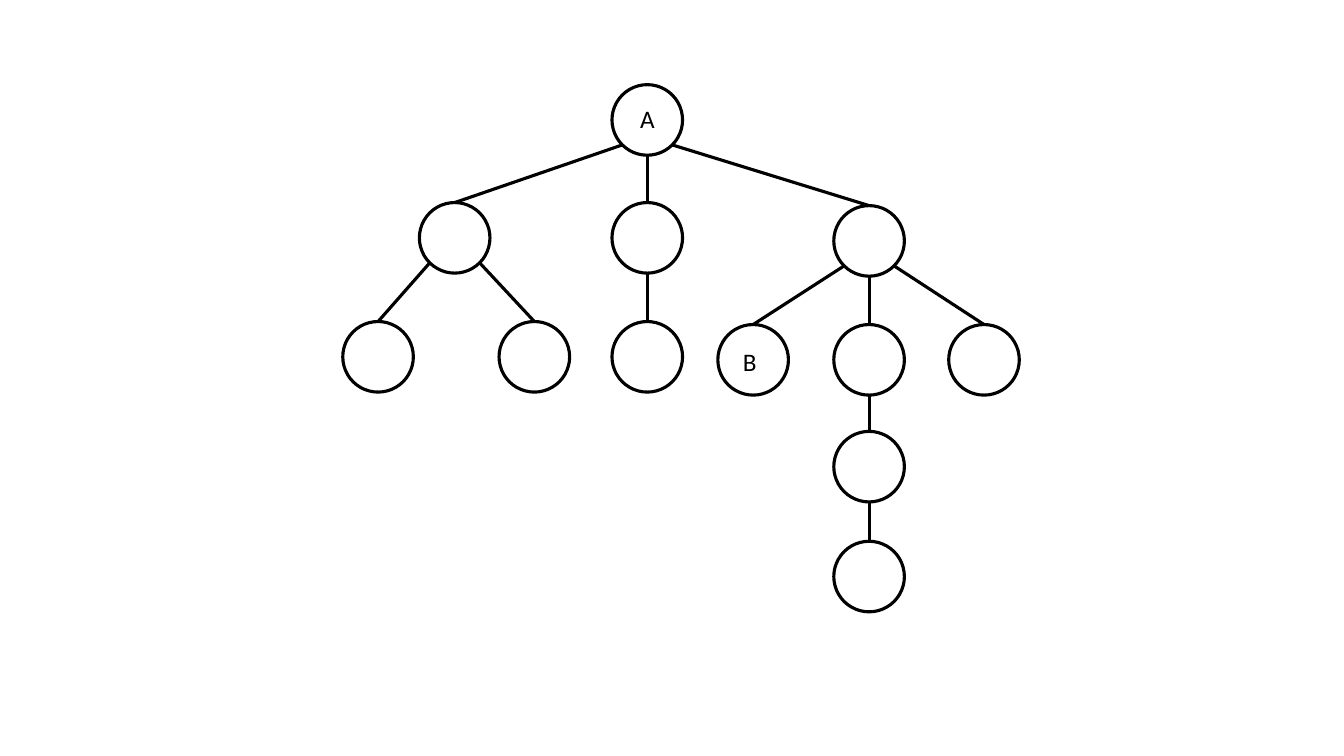
import math

from lxml import etree
from pptx import Presentation, util as u
from pptx.dml.color import RGBColor
from pptx.enum import shapes, text
from pptx.oxml import ns

COLORS = {"ink": "000000", "node": "FFFFFF"}
DIAMETER = 0.7
RADIUS = DIAMETER / 2
DIAGONAL = RADIUS * math.sqrt(0.5)

# Each node: left, top, parent
NODES = {
    "root": (6.07, 0.84, None),
    "left": (4.16, 2.01, "root"),
    "middle": (6.07, 2.01, "root"),
    "right": (8.27, 2.04, "root"),
    "left first": (3.4, 3.19, "left"),
    "left second": (4.95, 3.19, "left"),
    "middle only": (6.07, 3.19, "middle"),
    "right first": (7.12, 3.22, "right"),
    "right second": (8.27, 3.22, "right"),
    "right third": (9.41, 3.22, "right"),
    "chain upper": (8.27, 4.28, "right second"),
    "chain lower": (8.27, 5.37, "chain upper"),
}

# Each label: text, left, top, width
LABELS = [("A", 6.25, 0.98, 0.35), ("B", 7.27, 3.39, 0.34)]


class TreeSlide:
    """Holds the style and the current slide."""

    font = "Calibri"
    font_size = u.Pt(18)
    line_width = u.Pt(2.25)

    def __init__(self, slide):
        self.slide = slide

    def color(self, name):
        return RGBColor.from_string(COLORS[name])

    def outline(self, shape):
        shape.line.color.rgb = self.color("ink")
        shape.line.width = self.line_width

    def node(self, left, top):
        shape = self.slide.shapes.add_shape(
            shapes.MSO_SHAPE.OVAL, u.Inches(left), u.Inches(top),
            u.Inches(DIAMETER), u.Inches(DIAMETER))
        shape.shadow.inherit = False
        shape.fill.solid()
        shape.fill.fore_color.rgb = self.color("node")
        self.outline(shape)

    def edge(self, parent, child):
        """Join the parent's lower rim to the top of the child."""
        parent_left, parent_top, _ = parent
        child_left, child_top, _ = child
        side = (child_left > parent_left) - (child_left < parent_left)
        drop = DIAGONAL if side else RADIUS
        connector = self.slide.shapes.add_connector(
            shapes.MSO_CONNECTOR.STRAIGHT,
            u.Inches(parent_left + RADIUS + side * DIAGONAL),
            u.Inches(parent_top + RADIUS + drop),
            u.Inches(child_left + RADIUS), u.Inches(child_top))
        self.outline(connector)
        etree.SubElement(connector._element.spPr, ns.qn("a:effectLst"))

    def label(self, words, left, top, width):
        box = self.slide.shapes.add_textbox(
            u.Inches(left), u.Inches(top), u.Inches(width), u.Inches(0.4))
        frame = box.text_frame
        frame.word_wrap = False
        frame.auto_size = text.MSO_AUTO_SIZE.SHAPE_TO_FIT_TEXT
        run = frame.paragraphs[0].add_run()
        run.text = words
        run.font.name = self.font
        run.font.size = self.font_size
        run.font.color.rgb = self.color("ink")


presentation = Presentation()
presentation.slide_width = u.Inches(13.33)
presentation.slide_height = u.Inches(7.5)
blank_layout = presentation.slide_layouts[6]
tree = TreeSlide(presentation.slides.add_slide(blank_layout))

# Nodes
for left, top, _ in NODES.values():
    tree.node(left, top)

# Edges from parent to child
for child in NODES.values():
    if child[2]:
        tree.edge(NODES[child[2]], child)

# Labels
for label in LABELS:
    tree.label(*label)

presentation.save("out.pptx")
